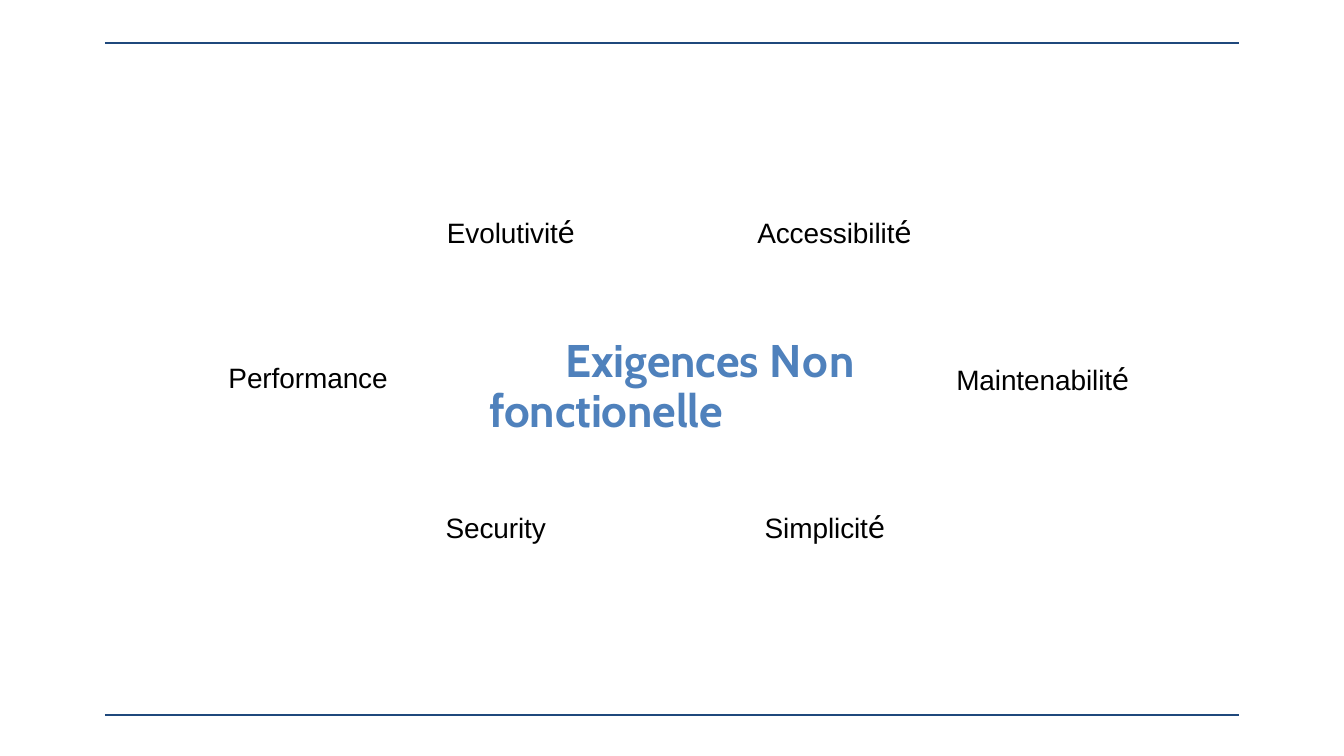
from pptx import Presentation
from pptx import util as u
from pptx.dml import color
from pptx.enum import shapes, text
from pptx.oxml import parse_xml
from pptx.oxml.ns import nsdecls

RULE_COLOR = "1F487C"
HEADING_COLOR = "4F81BC"
TEXT_COLOR = "000000"

# Requirement, left, top, width, height
REQUIREMENTS = [
    ("Performance", 3.39, 5.35, 2.41, 0.53),
    ("Accessibilité", 11.26, 3.12, 2.34, 0.63),
    ("Maintenabilité", 14.22, 5.3, 2.61, 0.63),
    ("Security", 6.62, 7.59, 1.53, 0.53),
    ("Simplicité", 11.37, 7.51, 1.83, 0.63),
]


def rgb(value):
    return color.RGBColor.from_string(value)


def add_rule(slide, top):
    rule = slide.shapes.add_connector(
        shapes.MSO_CONNECTOR.STRAIGHT,
        u.Inches(1.56), u.Inches(top), u.Inches(18.44), u.Inches(top))
    rule.line.color.rgb = rgb(RULE_COLOR)
    rule.line.width = u.Pt(1.5)
    rule._element.spPr.append(parse_xml(f"<a:effectLst {nsdecls('a')}/>"))


def add_box(slide, left, top, width, height):
    return slide.shapes.add_textbox(*map(u.Inches, (left, top, width, height)))


def format_frame(shape, top_inset, space_before, indent=0):
    """Set up the text frame and return its first paragraph."""
    frame = shape.text_frame
    frame.margin_left = frame.margin_right = frame.margin_bottom = 0
    frame.margin_top = u.Inches(top_inset)
    frame.word_wrap = True
    frame.auto_size = text.MSO_AUTO_SIZE.SHAPE_TO_FIT_TEXT
    frame.vertical_anchor = text.MSO_ANCHOR.TOP
    paragraph = frame.paragraphs[0]
    paragraph.alignment = text.PP_ALIGN.LEFT
    paragraph.space_before = u.Pt(space_before)
    properties = paragraph._p.get_or_add_pPr()
    properties.set("marL", str(u.Inches(0.01)))
    properties.set("indent", str(u.Inches(indent)))
    return paragraph


def add_run(paragraph, words, name, size, fill, spacing=-0.1, bold=False):
    run = paragraph.add_run()
    run.text = words
    run.font.name = name
    run.font.size = u.Pt(size)
    run.font.bold = bold
    run.font.color.rgb = rgb(fill)
    run.font._element.set("spc", str(round(spacing * 100)))


def write_requirement(shape, words):
    """Write a label; its final é is larger and in another font."""
    paragraph = format_frame(shape, top_inset=0.01, space_before=1)
    stem = words.removesuffix("é")
    add_run(paragraph, stem, "Arial", 30, TEXT_COLOR)
    if stem != words:
        add_run(paragraph, "é", "Calibri", 36, TEXT_COLOR)


def add_heading(slide):
    shape = add_box(slide, 7.27, 4.91, 5.76, 1.59)
    paragraph = format_frame(shape, top_inset=0.09, space_before=6.8, indent=1.14)
    paragraph.line_spacing = u.Pt(54)
    for words, spacing in (("Exigences ", -0.1), ("Non ", 1.6), ("fonctionelle", -0.1)):
        add_run(paragraph, words, "Cabin", 49, HEADING_COLOR, spacing, bold=True)


def place_title(slide, words, left, top, width, height):
    title = slide.shapes.title
    title.left, title.top = u.Inches(left), u.Inches(top)
    title.width, title.height = u.Inches(width), u.Inches(height)
    write_requirement(title, words)


def main():
    presentation = Presentation()
    presentation.slide_width = u.Inches(20)
    presentation.slide_height = u.Inches(11.25)
    slide = presentation.slides.add_slide(presentation.slide_layouts[5])

    # Rules at the top and bottom
    for top in (0.64, 10.64):
        add_rule(slide, top)

    # Central heading with the requirements around it
    add_heading(slide)
    place_title(slide, "Evolutivité", 6.64, 3.12, 1.95, 0.63)
    for words, *place in REQUIREMENTS:
        write_requirement(add_box(slide, *place), words)

    presentation.save("out.pptx")


if __name__ == "__main__":
    main()
